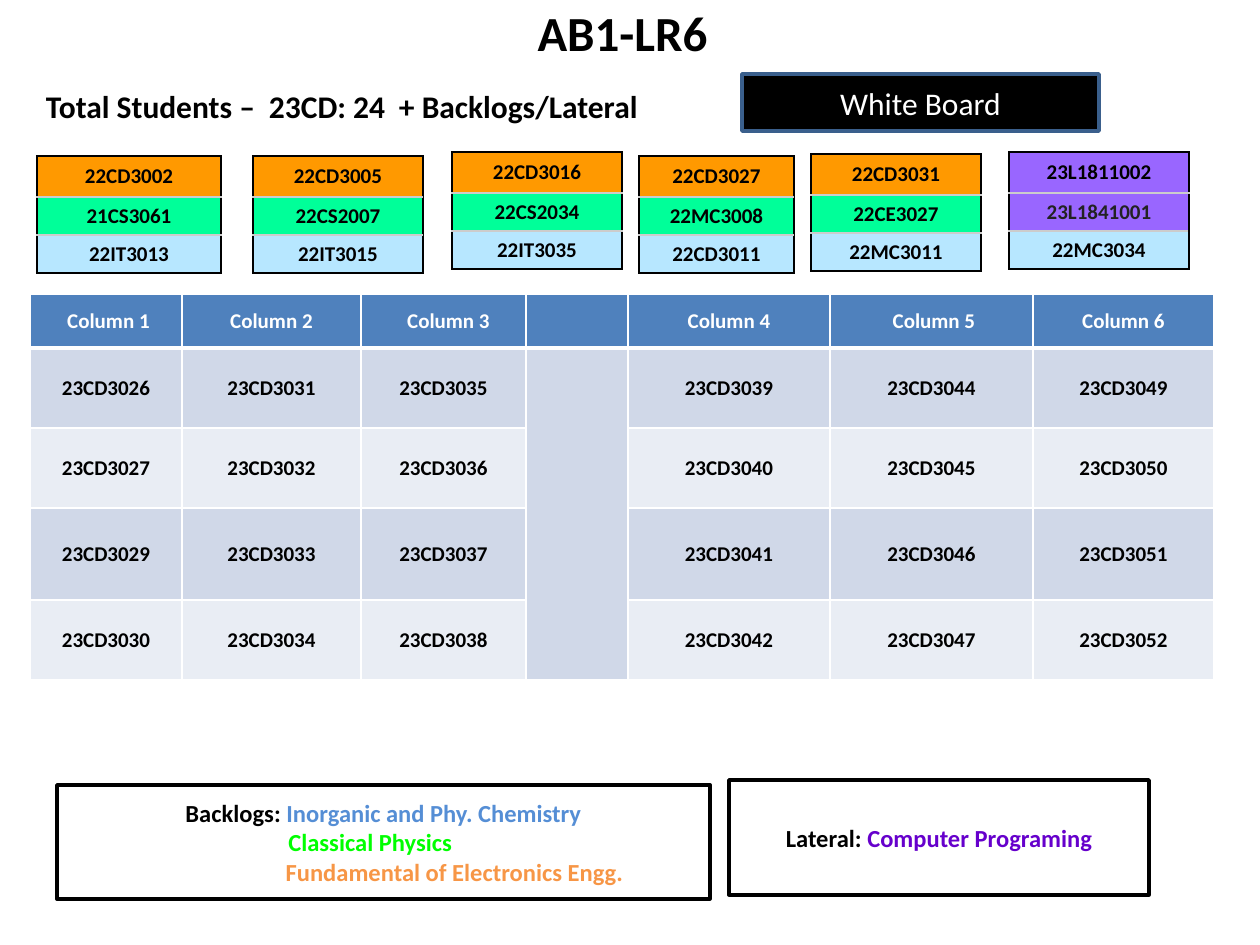
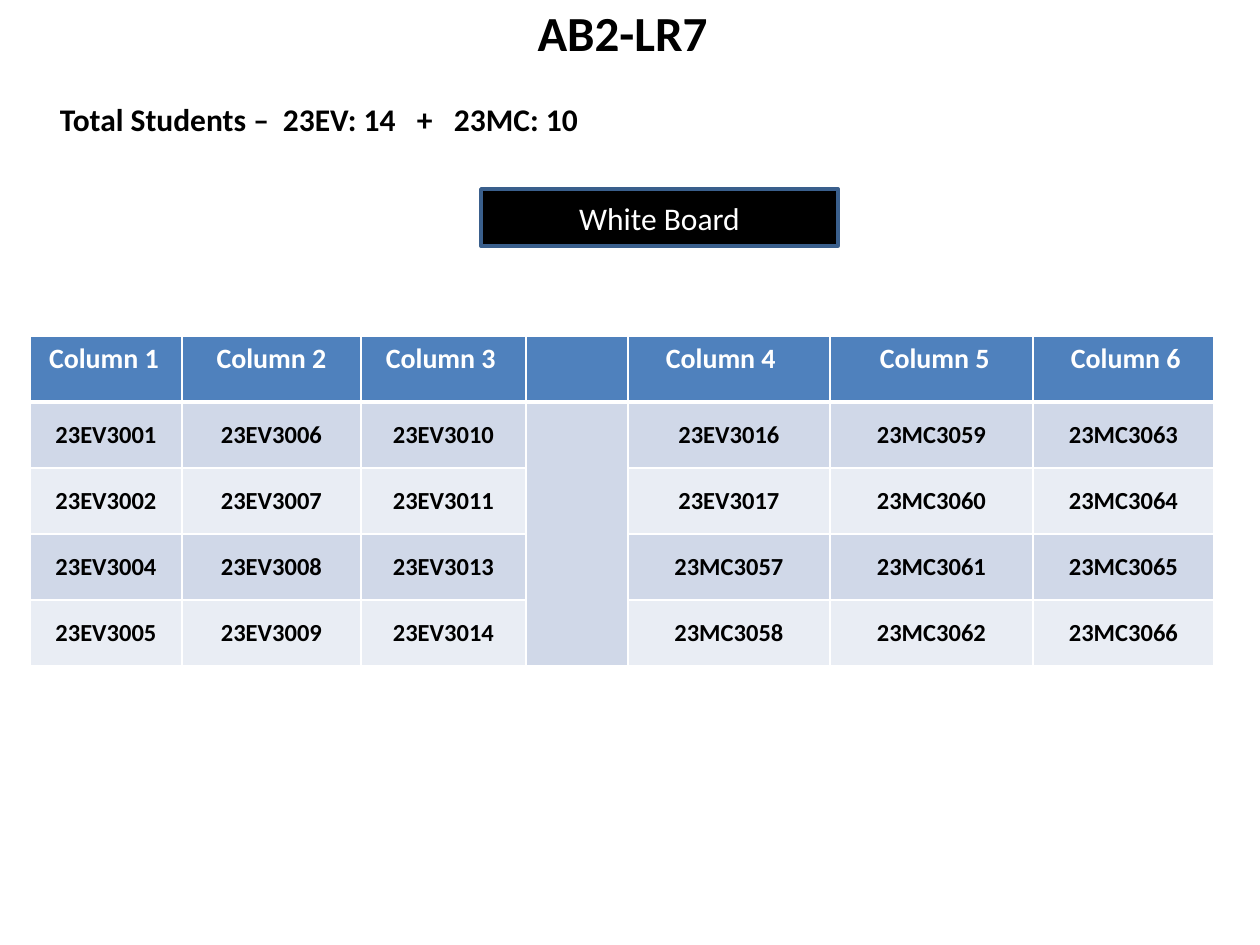
from pptx import Presentation
from pptx.dml.color import RGBColor as RGB
from pptx.enum.shapes import MSO_SHAPE as SHAPE
from pptx.enum.text import MSO_ANCHOR as ANCHOR, PP_ALIGN as ALIGN
from pptx.oxml.ns import qn
from pptx.util import Pt
from lxml.etree import SubElement

SCALE = 914400 / 126
FONT = "Calibri"
BLACK = RGB(0x00, 0x00, 0x00)
WHITE = RGB(0xFF, 0xFF, 0xFF)
GREY = RGB(0xCC, 0xCC, 0xCC)
CHARCOAL = RGB(0x22, 0x22, 0x22)
HEADER = RGB(0x4F, 0x81, 0xBD)
BAND_DARK = RGB(0xD0, 0xD8, 0xE8)
BAND_LIGHT = RGB(0xE9, 0xED, 0xF4)
BOARD_EDGE = RGB(0x3A, 0x5F, 0x8C)
ORANGE = RGB(0xFF, 0x99, 0x00)
GREEN = RGB(0x00, 0xFF, 0x99)
SKY = RGB(0xB7, 0xE7, 0xFF)
VIOLET = RGB(0x99, 0x66, 0xFF)
CHEMISTRY = RGB(0x55, 0x8E, 0xD5)
PHYSICS = RGB(0x00, 0xFF, 0x00)
ELECTRONICS = RGB(0xF7, 0x96, 0x46)
PROGRAMMING = RGB(0x66, 0x00, 0xCC)

INSET = 13
AISLE = 3
SEAT_COLS = [152, 179, 165, 102, 202, 203, 181]
STACK_ROWS = [41, 38, 38]
BACKLOG_FILLS = [ORANGE, GREEN, SKY]
LATERAL_FILLS = [VIOLET, VIOLET, SKY]

LR6_SEATS = [
    ["23CD3026", "23CD3031", "23CD3035", "", "23CD3039", "23CD3044", "23CD3049"],
    ["23CD3027", "23CD3032", "23CD3036", "", "23CD3040", "23CD3045", "23CD3050"],
    ["23CD3029", "23CD3033", "23CD3037", "", "23CD3041", "23CD3046", "23CD3051"],
    ["23CD3030", "23CD3034", "23CD3038", "", "23CD3042", "23CD3047", "23CD3052"],
]
LR7_SEATS = [
    ["23EV3001", "23EV3006", "23EV3010", "", "23EV3016", "23MC3059", "23MC3063"],
    ["23EV3002", "23EV3007", "23EV3011", "", "23EV3017", "23MC3060", "23MC3064"],
    ["23EV3004", "23EV3008", "23EV3013", "", "23MC3057", "23MC3061", "23MC3065"],
    ["23EV3005", "23EV3009", "23EV3014", "", "23MC3058", "23MC3062", "23MC3066"],
]
LR6_STACKS = [
    (37, 156, 184, ["22CD3002", "21CS3061", "22IT3013"], BACKLOG_FILLS),
    (253, 156, 170, ["22CD3005", "22CS2007", "22IT3015"], BACKLOG_FILLS),
    (452, 152, 170, ["22CD3016", "22CS2034", "22IT3035"], BACKLOG_FILLS),
    (639, 156, 155, ["22CD3027", "22MC3008", "22CD3011"], BACKLOG_FILLS),
    (811, 154, 170, ["22CD3031", "22CE3027", "22MC3011"], BACKLOG_FILLS),
    (1009, 152, 180, ["23L1811002", "23L1841001", "22MC3034"], LATERAL_FILLS),
]


def px(n):
    """Turn pixels into EMU."""
    return round(n * SCALE)


def write(p, text, size, color=BLACK, bold=True, align=ALIGN.CENTER):
    """Add one formatted run to a paragraph."""
    p.alignment = align
    r = p.add_run()
    r.text = text
    for key, value in {"name": FONT, "size": Pt(size), "bold": bold}.items():
        setattr(r.font, key, value)
    r.font.color.rgb = color


def text_box(s, box):
    """Add a wrapping text box and return its text frame."""
    tf = s.shapes.add_textbox(*map(px, box)).text_frame
    tf.word_wrap = True
    return tf


def panel(s, box, fill, edge):
    """Add an outlined rectangle and return its text frame."""
    sp = s.shapes.add_shape(SHAPE.RECTANGLE, *map(px, box))
    sp.shadow.inherit = False
    sp.fill.solid()
    sp.fill.fore_color.rgb = fill
    sp.line.color.rgb = edge
    sp.line.width = Pt(2)
    tf = sp.text_frame
    tf.word_wrap = True
    tf.vertical_anchor = ANCHOR.MIDDLE
    return tf


def style_cell(cell, fill, borders, margins, anchor=ANCHOR.MIDDLE):
    """Set borders (side: colour and points), fill, margins and anchor of a cell."""
    tc_pr = cell._tc.get_or_add_tcPr()
    for side in "LRTB":
        color, points = borders[side]
        ln = SubElement(tc_pr, qn(f"a:ln{side}"), w=str(Pt(points)))
        SubElement(SubElement(ln, qn("a:solidFill")), qn("a:srgbClr"), val=str(color))
    cell.fill.solid()
    cell.fill.fore_color.rgb = fill
    cell.vertical_anchor = anchor
    for side, margin in zip(("left", "top", "right", "bottom"), margins):
        setattr(cell, f"margin_{side}", px(margin))


def grid(s, x, y, cols, rows):
    """Add a plain table with the given column widths and row heights."""
    box = (x, y, sum(cols), sum(rows))
    table = s.shapes.add_table(len(rows), len(cols), *map(px, box)).table
    table.first_row = table.horz_banding = False
    for col, width in zip(table.columns, cols):
        col.width = px(width)
    for row, height in zip(table.rows, rows):
        row.height = px(height)
    return table


def seat_table(s, x, y, rows, seats, sizes, header, margin, anchor):
    """Draw the seating plan with its header row and merged aisle."""
    table = grid(s, x, y, SEAT_COLS, rows)
    labels = ["Column 1", "Column 2", "Column 3", "", "Column 4", "Column 5", "Column 6"]
    for i, values in enumerate([labels] + seats):
        fill = (BAND_LIGHT, BAND_DARK)[i % 2] if i else HEADER
        borders = dict.fromkeys("LRTB", (WHITE, 1))
        if i < 2:
            borders["TB"[i == 0]] = (WHITE, 3)
        for j, value in enumerate(values):
            cell = table.cell(i, j)
            align, left = (ALIGN.CENTER, margin) if i else header[j]
            margins = (left, 1, margin, 0) if i else (left, 6, INSET, 6)
            style_cell(cell, fill, borders, margins, ANCHOR.MIDDLE if i else anchor)
            if value:
                write(cell.text_frame.paragraphs[0], value, sizes[i > 0],
                      BLACK if i else WHITE, align=align)
    table.cell(1, AISLE).merge(table.cell(len(seats), AISLE))


def stack(s, x, y, width, ids, fills, left=0.75, right=0.75):
    """Draw one stack of backlog or lateral students."""
    table = grid(s, x, y, [width], STACK_ROWS)
    last = len(ids) - 1
    for i, (value, fill) in enumerate(zip(ids, fills)):
        borders = {
            "L": (BLACK, left),
            "R": (BLACK, right if i == last else 0.75),
            "T": (GREY if i else BLACK, 0.75),
            "B": (BLACK, 1.5) if i == last else (GREY, 0.75),
        }
        cell = table.cell(i, 0)
        style_cell(cell, fill, borders, (4, 0, 4, 0))
        color = CHARCOAL if fill == VIOLET and i else BLACK
        write(cell.text_frame.paragraphs[0], value, 12, color)


def room_title(s, box, name):
    """Write the room name across the top."""
    write(text_box(s, box).paragraphs[0], name, 28)


def total_line(s, box, parts, stops):
    """Write the student totals, each part at its own tab stop."""
    tf = text_box(s, box)
    tf.margin_left = px(20)
    p = tf.paragraphs[0]
    write(p, "\t".join(parts), 18, align=ALIGN.LEFT)
    tabs = SubElement(p._p.get_or_add_pPr(), qn("a:tabLst"))
    for stop in stops:
        SubElement(tabs, qn("a:tab"), pos=str(px(stop)), algn="l")


def white_board(s, x, y):
    """Draw the board at the front of the room."""
    tf = panel(s, (x, y, 357, 57), BLACK, BOARD_EDGE)
    write(tf.paragraphs[0], "White Board", 18, WHITE, bold=False)


def subject_key(s, box, label, subjects):
    """Draw a key box: a label, then subjects as (text, colour, align, indent)."""
    tf = panel(s, box, WHITE, BLACK)
    for i, (text, color, align, indent) in enumerate(subjects):
        p = tf.add_paragraph() if i else tf.paragraphs[0]
        if i == 0:
            write(p, f"{label}: ", 14)
        write(p, text, 14, color, align=align)
        p._p.get_or_add_pPr().set("marL", str(px(indent)))


def room_slide(prs, name):
    """Add a blank slide headed by the room name."""
    s = prs.slides.add_slide(prs.slide_layouts[6])
    room_title(s, (-1, -4, 1247, 72), name)
    return s


def lr6_slide(prs):
    """Build the plan of the room with backlog and lateral students."""
    s = room_slide(prs, "AB1-LR6")
    header = [(ALIGN.CENTER, INSET + extra) for extra in (5, 0, 10, 0, 0, 5, 0)]
    seat_table(s, 30, 294, [54, 80, 80, 92, 80], LR6_SEATS, (12, 12), header, 1,
               ANCHOR.MIDDLE)
    white_board(s, 742, 74)
    total_line(s, (26, 81, 785, 50),
               ["Total Students –", "23CD: 24", "+ Backlogs/Lateral"], [223, 353])
    subject_key(s, (57, 785, 653, 114), "Backlogs", [
        ("Inorganic and Phy. Chemistry", CHEMISTRY, ALIGN.CENTER, 0),
        ("Classical Physics", PHYSICS, ALIGN.LEFT, 219),
        ("Fundamental of Electronics Engg.", ELECTRONICS, ALIGN.CENTER, 142),
    ])
    for i, args in enumerate(LR6_STACKS):
        stack(s, *args, left=0.75 if i else 1.5,
              right=1.5 if i == len(LR6_STACKS) - 1 else 0.75)
    subject_key(s, (729, 780, 420, 115), "Lateral",
                [("Computer Programing", PROGRAMMING, ALIGN.CENTER, 0)])


def lr7_slide(prs):
    """Build the plan of the room shared by two groups."""
    s = room_slide(prs, "AB2-LR7")
    header = [(ALIGN.LEFT, left) for left in (19, INSET, 25, INSET, 38, 50, 38)]
    header[1] = (ALIGN.CENTER, INSET)
    seat_table(s, 30, 336, [66] * 5, LR7_SEATS, (16, 14), header, 4, ANCHOR.TOP)
    white_board(s, 481, 189)
    total_line(s, (40, 94, 714, 50),
               ["Total Students –", "23EV: 14", "+", "23MC: 10"], [223, 357, 394])


def main():
    """Build and save the seating plans."""
    prs = Presentation()
    prs.slide_width, prs.slide_height = px(1260), px(945)
    lr6_slide(prs)
    lr7_slide(prs)
    prs.save("out.pptx")


if __name__ == "__main__":
    main()
